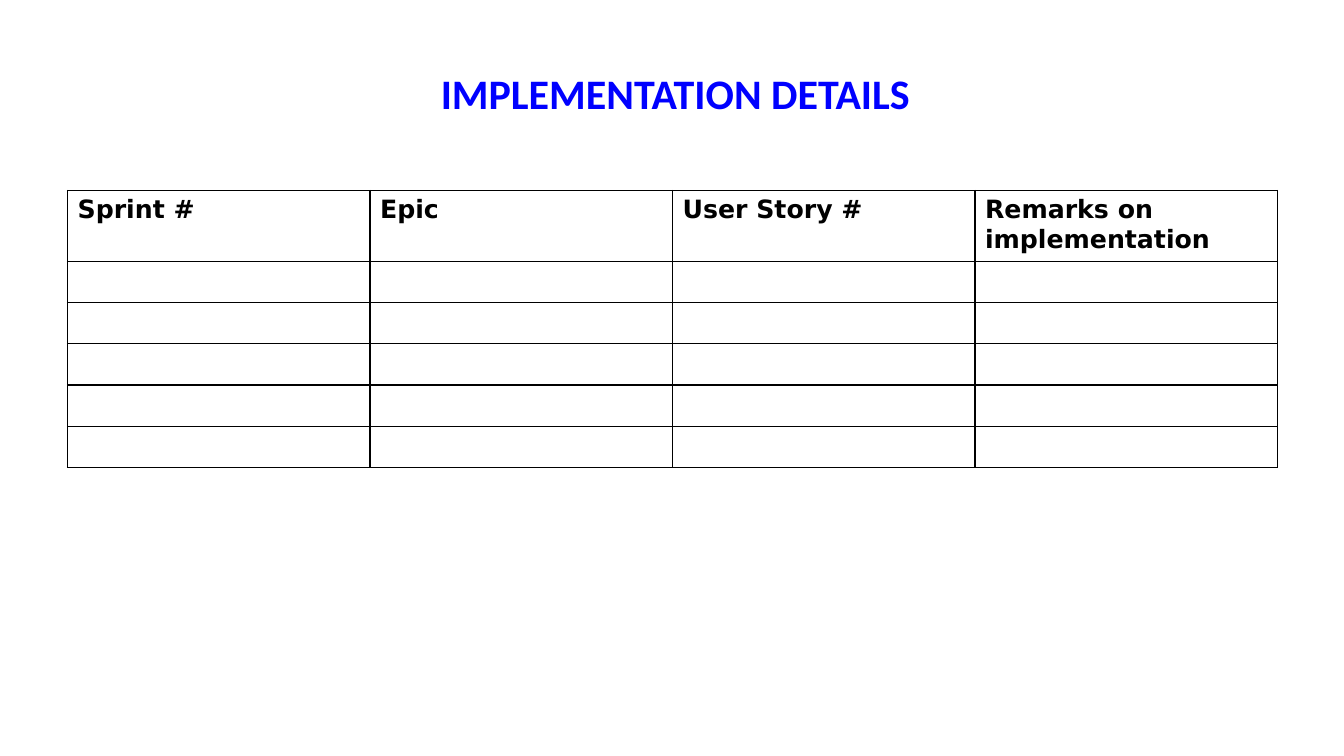
from pptx import Presentation
from pptx.dml.color import RGBColor
from pptx.enum.text import MSO_ANCHOR, PP_ALIGN
from pptx.oxml import parse_xml
from pptx.oxml.ns import nsdecls
from pptx.util import Inches, Pt

BLUE = RGBColor(0x00, 0x00, 0xFF)
BLACK = RGBColor(0x00, 0x00, 0x00)
CENTER = PP_ALIGN.CENTER
MIDDLE = MSO_ANCHOR.MIDDLE

HEADINGS = ["Sprint #", "Epic", "User Story #", "Remarks on implementation"]
EMPTY_ROWS = 5
ROW_HEIGHT = 0.41
BORDER_POINTS = 1
BORDER_SIDES = ("lnL", "lnR", "lnT", "lnB")


def add_span(para, text, font_name, size, color):
    span = para.add_run()
    span.text = text
    span.font.name = font_name
    span.font.size = Pt(size)
    span.font.bold = True
    span.font.color.rgb = color


def add_title(page, left, top, width, height):
    box = page.shapes.add_textbox(
        Inches(left), Inches(top), Inches(width), Inches(height))
    frame = box.text_frame
    frame.word_wrap = True
    frame.vertical_anchor = MIDDLE
    frame.margin_left = frame.margin_right = Inches(0.11)
    frame.margin_top = frame.margin_bottom = Inches(0.06)
    para = frame.paragraphs[0]
    para.alignment = CENTER
    add_span(para, "IMPLEMENTATION DETAILS", "Calibri", 30, BLUE)


def style_cell(cell):
    cell.fill.background()
    properties = cell._tc.get_or_add_tcPr()
    for position, side in enumerate(BORDER_SIDES):
        border = parse_xml(
            f'<a:{side} {nsdecls("a")} w="{Pt(BORDER_POINTS)}"><a:solidFill>'
            f'<a:srgbClr val="{BLACK}"/></a:solidFill></a:{side}>')
        properties.insert(position, border)


def add_sprint_table(page, left, top, width):
    row_count = EMPTY_ROWS + 1
    table = page.shapes.add_table(
        row_count, len(HEADINGS), Inches(left), Inches(top),
        Inches(width), Inches(ROW_HEIGHT * row_count)).table
    table.first_row = False
    table.horz_banding = False
    for column in table.columns:
        column.width = Inches(width / len(HEADINGS))
    for row in table.rows:
        row.height = Inches(ROW_HEIGHT)
    for cell in table.iter_cells():
        style_cell(cell)
    for column_index, heading in enumerate(HEADINGS):
        para = table.cell(0, column_index).text_frame.paragraphs[0]
        add_span(para, heading, "DejaVu Sans", 18, BLACK)


def main():
    deck = Presentation()
    deck.slide_width = Inches(13.33)
    deck.slide_height = Inches(7.5)
    page = deck.slides.add_slide(deck.slide_layouts[6])
    add_title(page, 0.7, 0.52, 12, 0.79)
    add_sprint_table(page, 0.67, 1.89, 12)
    deck.save("out.pptx")


if __name__ == "__main__":
    main()
